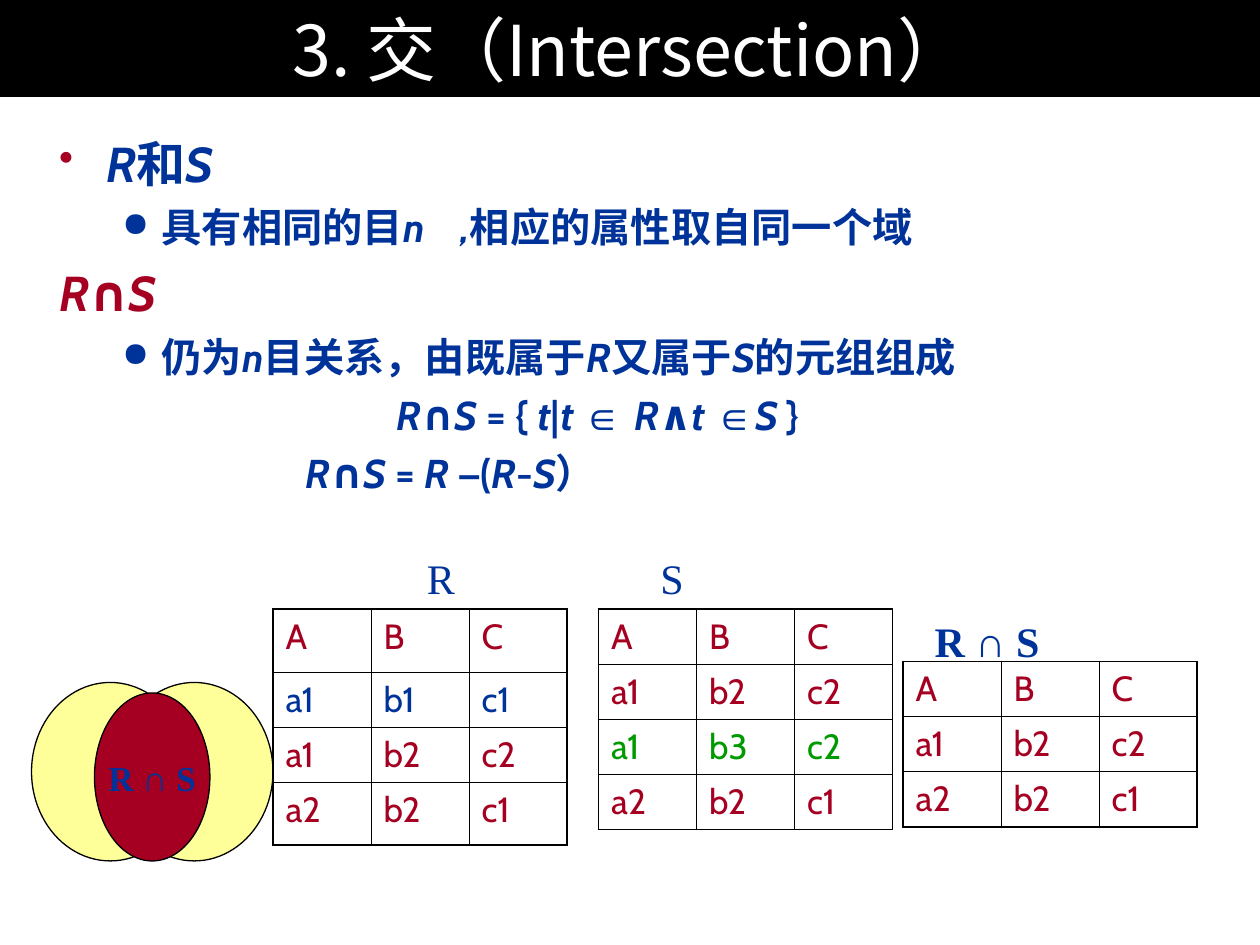
from lxml import etree
from pptx import Presentation
from pptx.dml.color import RGBColor as RGB
from pptx.enum.shapes import MSO_SHAPE as Kind
from pptx.enum.text import MSO_ANCHOR as Anchor, PP_ALIGN as Align
from pptx.oxml.ns import qn
from pptx.util import Pt

INK = {"black": "000000", "white": "FFFFFF", "blue": "003399",
       "red": "A50021", "green": "009900", "yellow": "FFFF99"}
CJK = "Noto Sans CJK SC"
SERIF = "Times New Roman"


def style(run, size, ink, face="Cabin", bold=False, slant=False):
    font = run.font
    font.size, font.name, font.bold, font.italic = Pt(size), face, bold, slant
    font.color.rgb = RGB.from_string(INK[ink])
    east = etree.SubElement(run._r.get_or_add_rPr(), qn("a:ea"))
    east.set("typeface", CJK)


def border(cell, side, width):
    """Draw one side (L, R, T or B) of a table cell in black."""
    line = etree.SubElement(cell._tc.get_or_add_tcPr(), qn("a:ln" + side), w=str(Pt(width)))
    fill = etree.SubElement(line, qn("a:solidFill"))
    etree.SubElement(fill, qn("a:srgbClr"), val=INK["black"])


deck = Presentation()
deck.slide_width, deck.slide_height = Pt(720), Pt(540)
slide = deck.slides.add_slide(deck.slide_layouts[6])
shapes = slide.shapes

# Title bar
bar = shapes.add_shape(Kind.RECTANGLE, 0, 0, Pt(720), Pt(55.44))
bar.shadow.inherit = False
bar.fill.solid()
bar.fill.fore_color.rgb = RGB.from_string(INK["black"])
bar.line.fill.background()
frame = bar.text_frame
frame.text = "3. 交（Intersection）"
frame.vertical_anchor = Anchor.MIDDLE
frame.margin_left = frame.margin_right = Pt(14.4)
frame.paragraphs[0].alignment = Align.CENTER
style(frame.paragraphs[0].runs[0], 40, "white", CJK)

# Definition: bullet, bullet ink, left margin, hanging indent, size, ink, runs.
# A run is its text and its kind: i italic, u upright, m math sign, g wide gap.
points = [
    ("•", "red", 27, -27, 28, "blue", [("R", "i"), ("和", "u"), ("S", "i")]),
    ("●", "blue", 58.5, -22.5, 23, "blue",
     [("具有相同的目", "u"), ("n", "i"), (" ", "g"), (",", "i"),
      ("相应的属性取自同一个域", "u")]),
    (None, None, 27, -27, 28, "red", [("R", "i"), ("∩", "u"), ("S", "i")]),
    ("●", "blue", 58.5, -22.5, 23, "blue",
     [("仍为", "u"), ("n", "i"), ("目关系，由既属于", "u"), ("R", "i"),
      ("又属于", "u"), ("S", "i"), ("的元组组成", "u")]),
    (None, None, 193, 0, 23, "blue",
     [("R", "i"), ("∩", "u"), ("S", "i"), (" = { ", "u"), ("t", "i"), ("|", "u"),
      ("t ", "i"), ("∈ ", "m"), ("R", "i"), ("∧", "u"), ("t ", "i"), ("∈", "m"),
      ("S ", "i"), ("}", "u")]),
    (None, None, 141, 0, 23, "blue",
     [("R", "i"), ("∩", "u"), ("S", "i"), (" = ", "u"), ("R ", "i"), ("–", "m"),
      ("(", "u"), ("R", "i"), ("-", "u"), ("S", "i"), ("）", "u")]),
]
body = shapes.add_textbox(Pt(19.44), Pt(65.52), Pt(700.56), Pt(283.68))
frame = body.text_frame
frame.word_wrap = True
frame.margin_left = frame.margin_right = Pt(14.4)
frame.margin_top = frame.margin_bottom = Pt(10.8)
for n, (mark, tint, left, hang, size, ink, runs) in enumerate(points):
    para = frame.add_paragraph() if n else frame.paragraphs[0]
    if n:
        para.space_before = Pt(size / 4)
    prop = para._p.get_or_add_pPr()
    prop.set("marL", str(Pt(left)))
    prop.set("indent", str(Pt(hang)))
    if mark:
        color = etree.SubElement(prop, qn("a:buClr"))
        etree.SubElement(color, qn("a:srgbClr"), val=INK[tint])
        etree.SubElement(prop, qn("a:buSzPct"), val="85000")
        etree.SubElement(prop, qn("a:buChar"), char=mark)
    for text, kind in runs:
        run = para.add_run()
        run.text = text
        style(run, size, ink, "Arial" if kind == "m" else "Cabin", True, kind in "ig")
        if kind == "g":
            run._r.get_or_add_rPr().set("spc", "1500")

# Venn diagram
for left, top, wide, high, ink in [(66, 390, 90, 102, "yellow"),
                                   (18, 390, 90, 102, "yellow"),
                                   (54, 396, 66, 96, "red")]:
    oval = shapes.add_shape(Kind.OVAL, Pt(left), Pt(top), Pt(wide), Pt(high))
    oval.shadow.inherit = False
    oval.fill.solid()
    oval.fill.fore_color.rgb = RGB.from_string(INK[ink])
    oval.line.color.rgb = RGB.from_string(INK["black"])
    oval.line.width = Pt(0.75)
frame = oval.text_frame
frame.text = "R ∩ S"
frame.word_wrap = False
frame.vertical_anchor = Anchor.MIDDLE
frame.paragraphs[0].alignment = Align.CENTER
style(frame.paragraphs[0].runs[0], 20, "blue", SERIF, True)

# Relations: left, top, row heights, rows with their ink
head = ("A B C", "red")
tables = [
    (516, 378, [31.5] * 3, [head, ("a1 b2 c2", "red"), ("a2 b2 c1", "red")]),
    (156, 348, [36, 31.5, 31.5, 36],
     [head, ("a1 b1 c1", "blue"), ("a1 b2 c2", "red"), ("a2 b2 c1", "red")]),
    (342, 348, [31.5] * 4,
     [head, ("a1 b2 c2", "red"), ("a1 b3 c2", "green"), ("a2 b2 c1", "red")]),
]
for left, top, highs, rows in tables:
    grid = shapes.add_table(len(rows), 3, Pt(left), Pt(top), Pt(168), Pt(sum(highs))).table
    grid.first_row = grid.horz_banding = False
    for col in grid.columns:
        col.width = Pt(56)
    for r, (texts, ink) in enumerate(rows):
        grid.rows[r].height = Pt(highs[r])
        for c, text in enumerate(texts.split()):
            cell = grid.cell(r, c)
            cell.text = text
            style(cell.text_frame.paragraphs[0].runs[0], 20, ink)
            edges = {"L": c == 0, "R": c == 2, "T": r == 0, "B": r == len(rows) - 1}
            for side, outer in edges.items():
                border(cell, side, 1.08 if outer else 0.45)
            cell.fill.background()

# Names above the relations
for text, left, top, wide, bold in [("R ∩ S", 516, 348, 96, True),
                                    ("R", 228, 312, 48, False),
                                    ("S", 360, 312, 48, False)]:
    label = shapes.add_textbox(Pt(left), Pt(top), Pt(wide), Pt(36))
    frame = label.text_frame
    frame.word_wrap = True
    frame.text = text
    frame.paragraphs[0].alignment = Align.CENTER
    style(frame.paragraphs[0].runs[0], 24, "blue", SERIF, bold)

deck.save("out.pptx")
